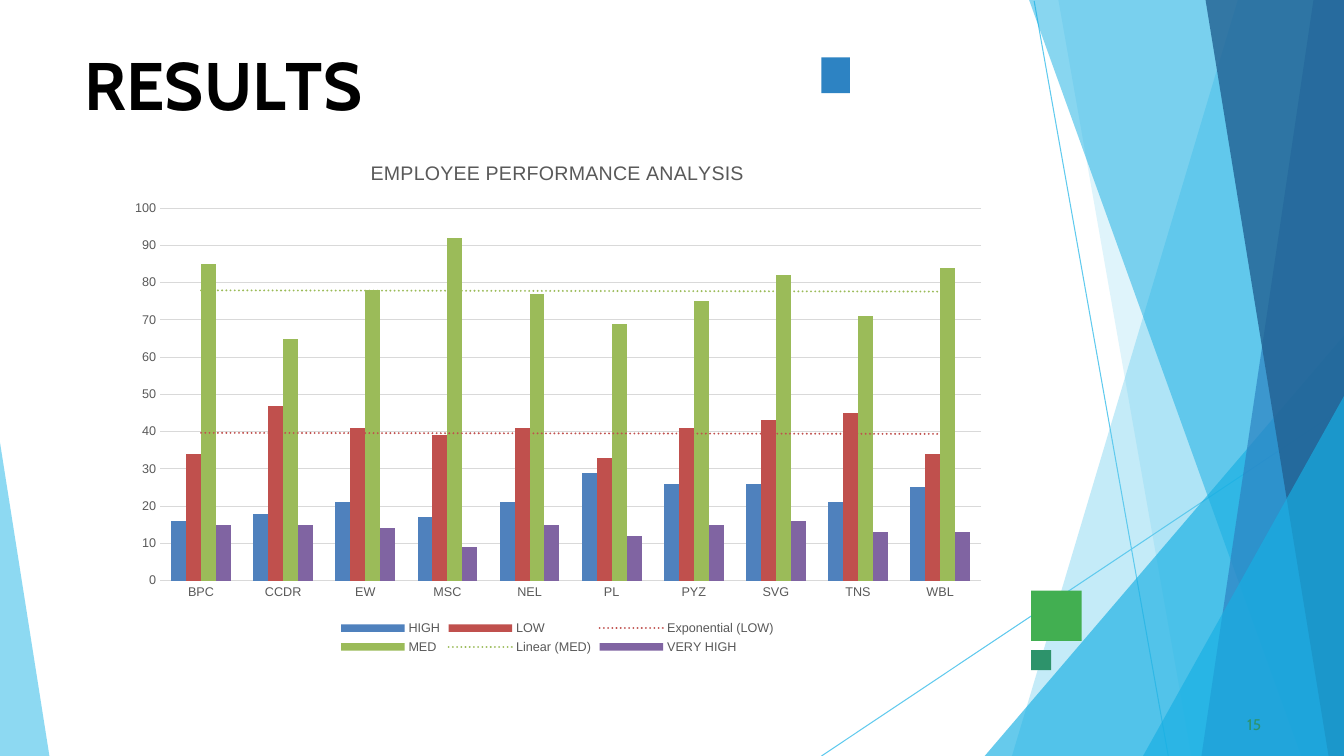
from lxml import etree
from pptx import Presentation
from pptx.chart.data import CategoryChartData
from pptx.dml.color import RGBColor
from pptx.enum import chart as ch, shapes, text
from pptx.oxml import parse_xml
from pptx.oxml.ns import nsdecls, qn
from pptx.util import Pt

# Content
COLORS = {
    "sky": "5FCAEE", "cyan": "17AFE3", "blue": "2D83C3", "navy": "226192",
    "green": "42AF51", "teal": "2D936B", "black": "000000",
    "label": "595959", "grid": "D9D9D9",
    "HIGH": "4F81BD", "LOW": "C0504D", "MED": "9BBB59", "VERY HIGH": "8064A2",
}
TITLE = [("R", 0), ("E", -0.4), ("S", 0.1), ("U", -0.3), ("L", -4.1), ("TS", 0)]
PAGE_NUMBER = "15"
CHART_TITLE = "EMPLOYEE PERFORMANCE ANALYSIS"
CATEGORIES = ["BPC", "CCDR", "EW", "MSC", "NEL", "PL", "PYZ", "SVG", "TNS", "WBL"]
SERIES = {
    "HIGH": [16, 18, 21, 17, 21, 29, 26, 26, 21, 25],
    "LOW": [34, 47, 41, 39, 41, 33, 41, 43, 45, 34],
    "MED": [85, 65, 78, 92, 77, 69, 75, 82, 71, 84],
    "VERY HIGH": [15, 15, 14, 9, 15, 12, 15, 16, 13, 13],
}
TRENDS = {"LOW": "exp", "MED": "linear"}

# Geometry in points
W, H = 960, 540
RAYS = [(738.7, 0.7, 834.5, H), (W, 290.9, 586.8, H)]
# Panels on the right edge: top x, top y, bottom x, colour, opacity in percent
PANELS = [
    (884.2, 0, 722.9, "sky", 37),
    (756, 0, 851, "sky", 20),
    (W, 239.8, 703.4, "cyan", 66),
    (735.1, 0, 929.5, "cyan", 51),
    (938.2, 0, 858.2, "blue", 71),
    (861.1, 0, 949, "navy", 80),
    (W, 283, 816.5, "cyan", 66),
]
LEFT_WEDGE = [(0, 316.1), (0, H), (35.3, H)]
BLOCKS = [
    (736.6, 421.9, 36, 36, "green"),
    (586.8, 41, 20.3, 25.5, "blue"),
    (736.6, 464.4, 14.2, 14.2, "teal"),
]


def rgb(name):
    return RGBColor.from_string(COLORS[name])


def paint(sp, color, opacity=100):
    sp.shadow.inherit = False
    sp.fill.solid()
    sp.fill.fore_color.rgb = rgb(color)
    sp.line.fill.background()
    if opacity < 100:
        clr = sp.element.spPr.find(qn("a:solidFill"))[0]
        etree.SubElement(clr, qn("a:alpha")).set("val", str(opacity * 1000))


def add_panel(points, color, opacity):
    pts = [(Pt(x), Pt(y)) for x, y in points]
    builder = slide.shapes.build_freeform(*pts[0])
    builder.add_line_segments(pts[1:], close=True)
    paint(builder.convert_to_shape(), color, opacity)


def place(sp, left, top, width, height):
    sp.left, sp.top, sp.width, sp.height = Pt(left), Pt(top), Pt(width), Pt(height)


def write(sp, runs, size, color, bold, indent, before):
    tf = sp.text_frame
    tf.word_wrap = True
    tf.auto_size = text.MSO_AUTO_SIZE.NONE
    tf.vertical_anchor = text.MSO_ANCHOR.TOP
    tf.margin_left = tf.margin_right = tf.margin_bottom = 0
    tf.margin_top = Pt(1)
    p = tf.paragraphs[0]
    p.alignment = text.PP_ALIGN.LEFT
    p.space_before = Pt(before)
    p._p.get_or_add_pPr().set("marL", str(Pt(indent)))
    for words, spacing in runs:
        r = p.add_run()
        r.text = words
        style(r.font, size, color, "Cabin", bold)
        r.font._element.set("spc", str(round(spacing * 100)))


def style(font, size, color="label", name="Arial", bold=False):
    font.size, font.name, font.bold = Pt(size), name, bold
    font.color.rgb = rgb(color)


def layout_xml(x, y, w, h, target=""):
    parts = "".join(f'<c:{k}Mode val="edge"/>' for k in "xy")
    parts += "".join(f'<c:{k} val="{v}"/>' for k, v in zip("xywh", (x, y, w, h)))
    return parse_xml(f'<c:layout {nsdecls("c")}><c:manualLayout>{target}{parts}'
                     '</c:manualLayout></c:layout>')


def add_trend(series):
    series._element.find(qn("c:cat")).addprevious(parse_xml(
        f'<c:trendline {nsdecls("c", "a")}><c:spPr><a:ln w="{Pt(1.5)}" cap="rnd">'
        f'<a:solidFill><a:srgbClr val="{COLORS[series.name]}"/></a:solidFill>'
        '<a:prstDash val="sysDot"/></a:ln></c:spPr>'
        f'<c:trendlineType val="{TRENDS[series.name]}"/>'
        '<c:dispRSqr val="0"/><c:dispEq val="0"/></c:trendline>'))


prs = Presentation()
prs.slide_width, prs.slide_height = Pt(W), Pt(H)
slide = prs.slides.add_slide(prs.slide_layouts[5])

# Background rays and panels
for x1, y1, x2, y2 in RAYS:
    ray = slide.shapes.add_connector(shapes.MSO_CONNECTOR.STRAIGHT,
                                     Pt(x1), Pt(y1), Pt(x2), Pt(y2))
    ray.line.color.rgb = rgb("sky")
    ray.line.width = Pt(0.75)
    etree.SubElement(ray._element.spPr, qn("a:effectLst"))
for top_x, top_y, bottom_x, color, opacity in PANELS:
    corner = [(W, top_y)] if top_x < W else []
    add_panel(corner + [(top_x, top_y), (bottom_x, H), (W, H)], color, opacity)
add_panel(LEFT_WEDGE, "sky", 71)

# Accent blocks
for *box, color in BLOCKS:
    block = slide.shapes.add_shape(shapes.MSO_SHAPE.RECTANGLE, *map(Pt, box))
    paint(block, color)

# Title, brought in front of the panels, and page number
title = slide.shapes.title
title.element.getparent().append(title.element)
place(title, 59.8, 30.2, 841, 58.3)
write(title, TITLE, 48, "black", True, 0.7, 1.1)
number = slide.shapes.add_textbox(Pt(887.8), Pt(509.8), Pt(18), Pt(13.7))
write(number, [(PAGE_NUMBER, 0.1)], 11, "teal", False, 3, 0.5)

# Chart
data = CategoryChartData()
data.categories = CATEGORIES
for name, values in SERIES.items():
    data.add_series(name, values)
chart = slide.shapes.add_chart(ch.XL_CHART_TYPE.COLUMN_CLUSTERED, Pt(82.8), Pt(100.8),
                               Pt(630.7), Pt(369.4), data).chart
style(chart.font, 10, "black")
chart.has_title = True
r = chart.chart_title.text_frame.paragraphs[0].add_run()
r.text = CHART_TITLE
style(r.font, 14)

plot = chart.plots[0]
plot.gap_width, plot.overlap, plot.vary_by_categories = 150, 0, False
for series in plot.series:
    series.format.fill.solid()
    series.format.fill.fore_color.rgb = rgb(series.name)
    if series.name in TRENDS:
        add_trend(series)

# Axes
cat_axis, val_axis = chart.category_axis, chart.value_axis
for axis in (cat_axis, val_axis):
    axis.major_tick_mark = axis.minor_tick_mark = ch.XL_TICK_MARK.NONE
    style(axis.tick_labels.font, 9)
val_axis.minimum_scale, val_axis.maximum_scale, val_axis.major_unit = 0, 100, 10
val_axis.has_major_gridlines = True
val_axis.format.line.fill.background()
for line in (cat_axis.format.line, val_axis.major_gridlines.format.line):
    line.color.rgb = rgb("grid")
    line.width = Pt(0.75)

# Legend and plot placement, as fractions of the chart
chart.has_legend = True
legend = chart.legend
legend.position = ch.XL_LEGEND_POSITION.BOTTOM
legend.include_in_layout = False
style(legend.font, 9)
for old in legend._element.findall(qn("c:layout")):
    legend._element.remove(old)
legend._element.find(qn("c:legendPos")).addnext(layout_xml(0.25, 0.92, 0.5, 0.08))
plot_area = plot._element.getparent()
for old in plot_area.findall(qn("c:layout")):
    plot_area.remove(old)
plot_area.insert(0, layout_xml(0.05, 0.13, 0.93, 0.72, '<c:layoutTarget val="inner"/>'))

prs.save("out.pptx")
